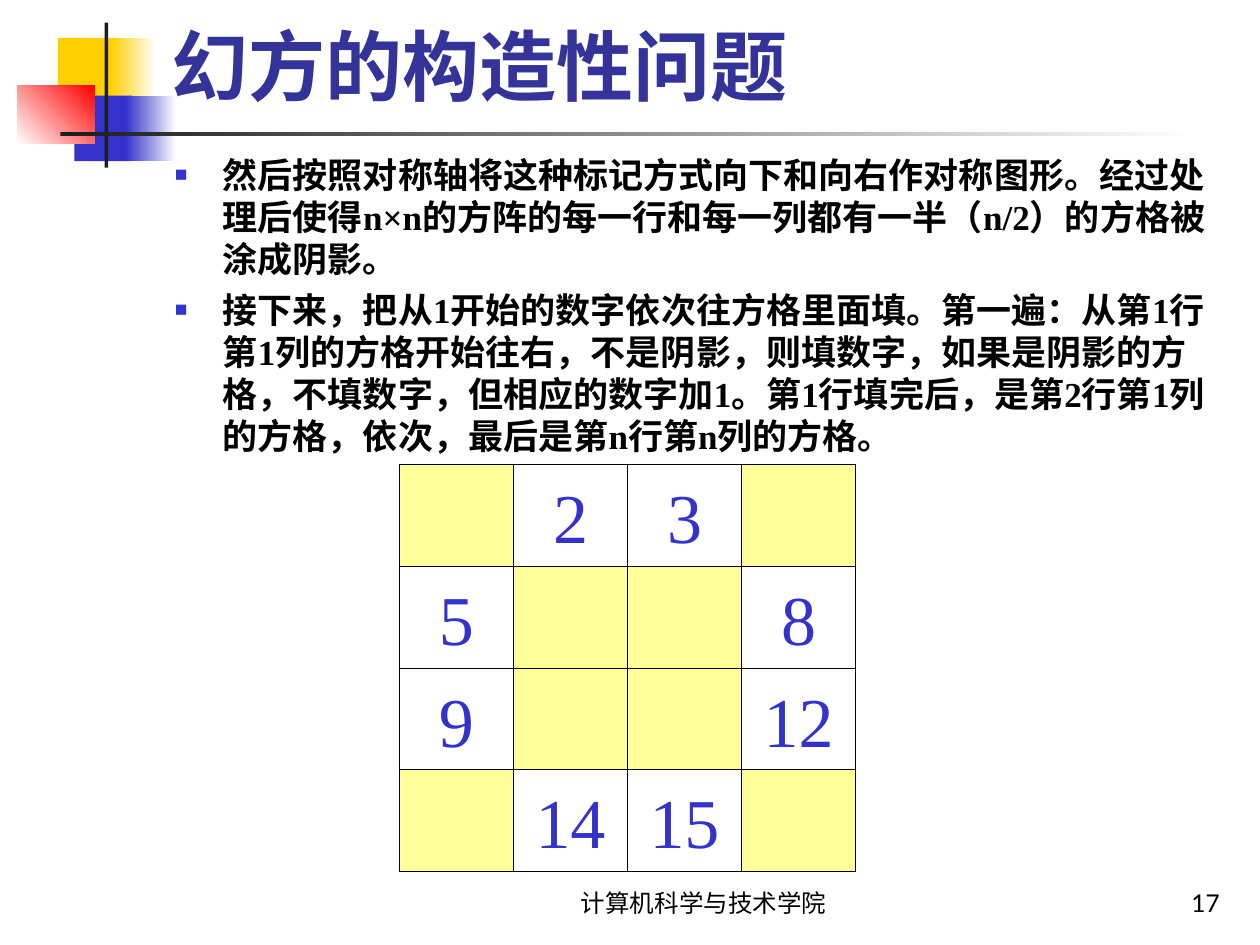
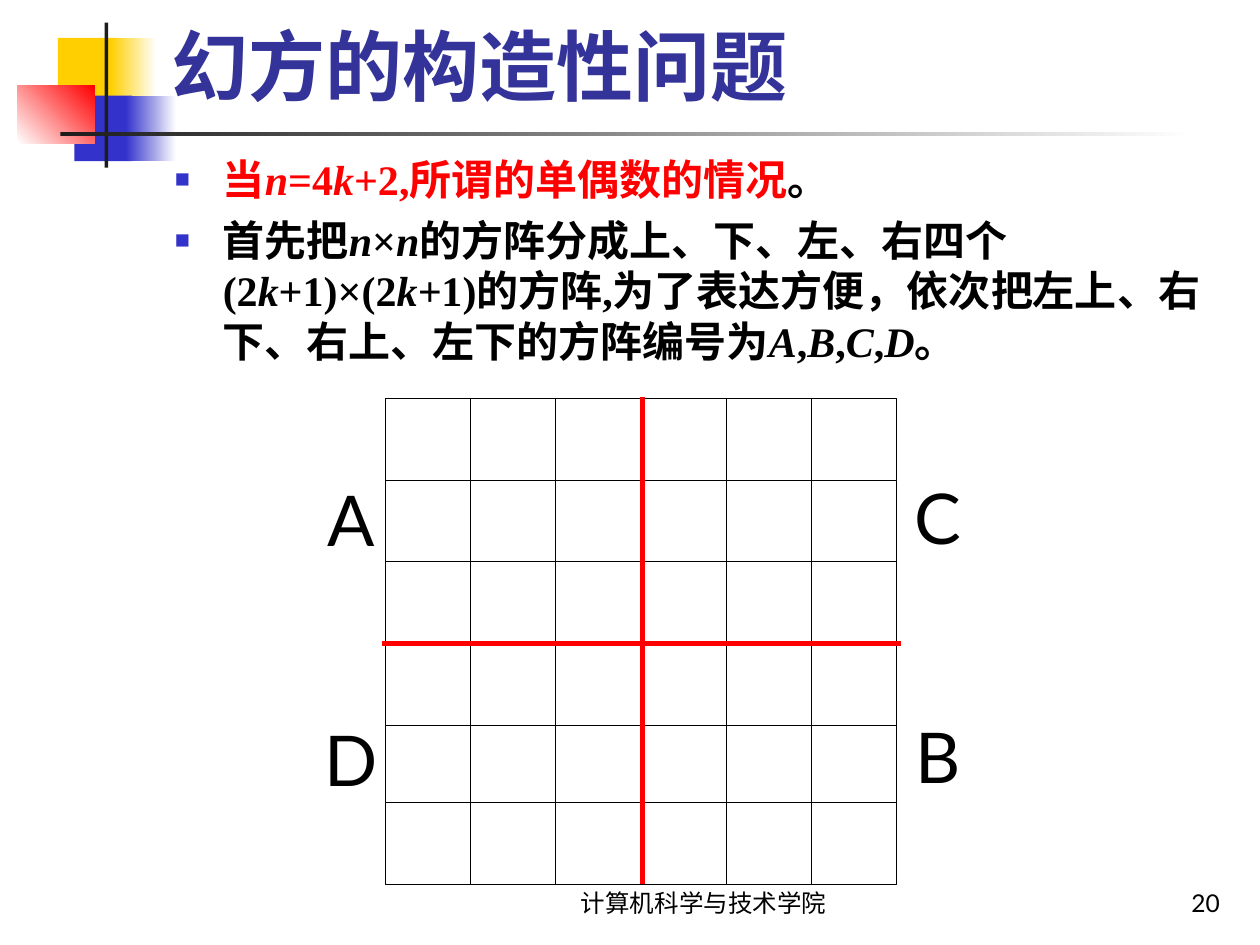
from lxml.etree import SubElement
from pptx import Presentation
from pptx.dml.color import RGBColor
from pptx.enum.lang import MSO_LANGUAGE_ID as Language
from pptx.enum.shapes import MSO_CONNECTOR as Connector, MSO_SHAPE as Shape
from pptx.enum.text import MSO_ANCHOR as Anchor, PP_ALIGN as Align
from pptx.oxml.ns import qn
from pptx.util import Inches, Pt

COLUMNS, ROWS = 100, 75
BLACK, WHITE, RED, YELLOW = "000000", "FFFFFF", "FF0000", "FFCF01"
BLUE, NAVY, CHARCOAL, SHADE = "3333CC", "333399", "1C1C1C", "FFFF99"
SANS, SERIF = "Lato", "Times New Roman"


def rgb(code):
    return RGBColor.from_string(code)


class Deck:
    title = "幻方的构造性问题"
    school = "计算机科学与技术学院"

    def __init__(self):
        self.file = Presentation()
        self.file.slide_width, self.file.slide_height = Inches(10), Inches(7.5)
        self.slide = None

    def place(self, across, down):
        """Turn grid columns and rows into slide lengths."""
        return (int(self.file.slide_width * across / COLUMNS),
                int(self.file.slide_height * down / ROWS))

    def new_slide(self, number):
        self.slide = self.file.slides.add_slide(self.file.slide_layouts[6])
        self.block(4.6, 3, 4.8, 5.2, YELLOW)
        self.block(8.8, 3, 3.6, 5.2, (YELLOW, WHITE))
        self.block(5.9, 7.6, 4.6, 5.2, BLUE)
        self.block(10, 7.6, 4, 5.2, (BLUE, WHITE))
        self.block(1.4, 6.8, 6.1, 4.6, (WHITE, RED), angle=45)
        self.block(8.3, 1.8, 0.3, 11.5, CHARCOAL)
        self.block(4.8, 10.5, 90, 0.3, (CHARCOAL, WHITE))
        self.label(40, 68.3, 31.7, 5, self.school, 14, Align.CENTER)
        self.label(77, 68.3, 20.8, 5, number, 14, Align.RIGHT)
        self.label(12.6, 1.8, 85.2, 7.5, self.title, 44, Align.LEFT, NAVY, True)

    def block(self, left, top, width, height, fill, angle=0):
        """Draw a rectangle; a pair of colours makes a gradient."""
        shape = self.slide.shapes.add_shape(
            Shape.RECTANGLE, *self.place(left, top), *self.place(width, height))
        shape.shadow.inherit = False
        shape.line.fill.background()
        if isinstance(fill, tuple):
            shape.fill.gradient()
            shape.fill.gradient_angle = angle
            for stop, colour in zip(shape.fill.gradient_stops, fill):
                stop.color.rgb = rgb(colour)
        else:
            shape.fill.solid()
            shape.fill.fore_color.rgb = rgb(fill)
        return shape

    def cell(self, left, top, width, height, fill=WHITE, number=""):
        square = self.block(left, top, width, height, fill)
        square.line.color.rgb = rgb(BLACK)
        square.line.width = Pt(0.5)
        if number:
            frame = square.text_frame
            frame.text = number
            frame.vertical_anchor = Anchor.MIDDLE
            frame.paragraphs[0].alignment = Align.CENTER
            self.style(frame.paragraphs[0].runs[0], 40, SERIF, BLUE)

    def style(self, run, size, face, colour, bold=False, italic=False):
        font = run.font
        font.size, font.name, font.bold, font.italic = Pt(size), face, bold, italic
        font.color.rgb = rgb(colour)
        font.language_id = Language.SIMPLIFIED_CHINESE

    def text_frame(self, left, top, width, height):
        box = self.slide.shapes.add_textbox(
            *self.place(left, top), *self.place(width, height))
        box.text_frame.word_wrap = True
        return box.text_frame

    def label(self, left, top, width, height, text, size, align,
              colour=BLACK, bold=False):
        frame = self.text_frame(left, top, width, height)
        frame.text = text
        frame.vertical_anchor = Anchor.BOTTOM
        frame.paragraphs[0].alignment = align
        self.style(frame.paragraphs[0].runs[0], size, SANS, colour, bold)

    def points(self, items, size, gap):
        """Write bulleted items of (text, colour) spans; *marks* set italics."""
        frame = self.text_frame(12.9, 11.7, 85, 55.4)
        for index, spans in enumerate(items):
            paragraph = frame.add_paragraph() if index else frame.paragraphs[0]
            self.bullet(paragraph)
            if index:
                paragraph.space_before = Pt(gap)
            for text, colour in spans:
                for turn, piece in enumerate(text.split("*")):
                    if piece:
                        run = paragraph.add_run()
                        run.text = piece
                        self.style(run, size, SERIF, colour, True, turn % 2 == 1)

    def bullet(self, paragraph):
        props = paragraph._p.get_or_add_pPr()
        props.set("marL", str(Inches(0.38)))
        props.set("indent", str(-Inches(0.38)))
        SubElement(SubElement(props, qn("a:buClr")), qn("a:srgbClr"), val=BLUE)
        SubElement(props, qn("a:buSzPct"), val="60000")
        SubElement(props, qn("a:buFont"), typeface=SERIF)
        SubElement(props, qn("a:buChar"), char="■")

    def divider(self, start, end):
        line = self.slide.shapes.add_connector(
            Connector.STRAIGHT, *self.place(*start), *self.place(*end))
        line.line.color.rgb = rgb(RED)
        line.line.width = Pt(3)
        SubElement(line._element.spPr, qn("a:effectLst"))


def filling_slide(deck):
    deck.new_slide("17")
    deck.points([
        [("然后按照对称轴将这种标记方式向下和向右作对称图形。经过处理后使得n×n的方阵的"
          "每一行和每一列都有一半（n/2）的方格被涂成阴影。", BLACK)],
        [("接下来，把从1开始的数字依次往方格里面填。第一遍：从第1行第1列的方格开始往右，"
          "不是阴影，则填数字，如果是阴影的方格，不填数字，但相应的数字加1。第1行填完后，"
          "是第2行第1列的方格，依次，最后是第n行第n列的方格。", BLACK)],
    ], size=20, gap=5)
    order, width, height = 4, 9.05, 8.07
    for row in range(order):
        for column in range(order):
            shaded = (row in (0, 3)) == (column in (0, 3))
            number = "" if shaded else str(row * order + column + 1)
            deck.cell(31.7 + column * width, 36.9 + row * height, width, height,
                      SHADE if shaded else WHITE, number)


def quadrant_slide(deck):
    deck.new_slide("20")
    deck.points([
        [("当*n*=4*k*+2,所谓的单偶数的情况", RED), ("。", BLACK)],
        [("首先把*n*×*n*的方阵分成上、下、左、右四个(2*k*+1)×(2*k+*1)的方阵,"
          "为了表达方便，依次把左上、右下、右上、左下的方阵编号为"
          "*A*,*B*,*C*,*D*。", BLACK)],
    ], size=24, gap=6)
    order, width, height, last_top = 6, 6.76, 6.5, 63.7
    for row in range(order):
        for column in range(order):
            deck.cell(30.6 + column * width, min(31.6 + row * height, last_top),
                      width, height)
    for quadrant, left, top in (("A", 24.5, 37.3), ("C", 71.1, 37.1),
                                ("D", 24.5, 56.3), ("B", 71.1, 56.1)):
        deck.label(left, top, 6.7, 7.7, quadrant, 40, Align.CENTER)
    deck.divider((30.3, 51.1), (71.5, 51.1))
    deck.divider((51, 70.2), (51, 31.5))


def main():
    deck = Deck()
    filling_slide(deck)
    quadrant_slide(deck)
    deck.file.save("out.pptx")


if __name__ == "__main__":
    main()
